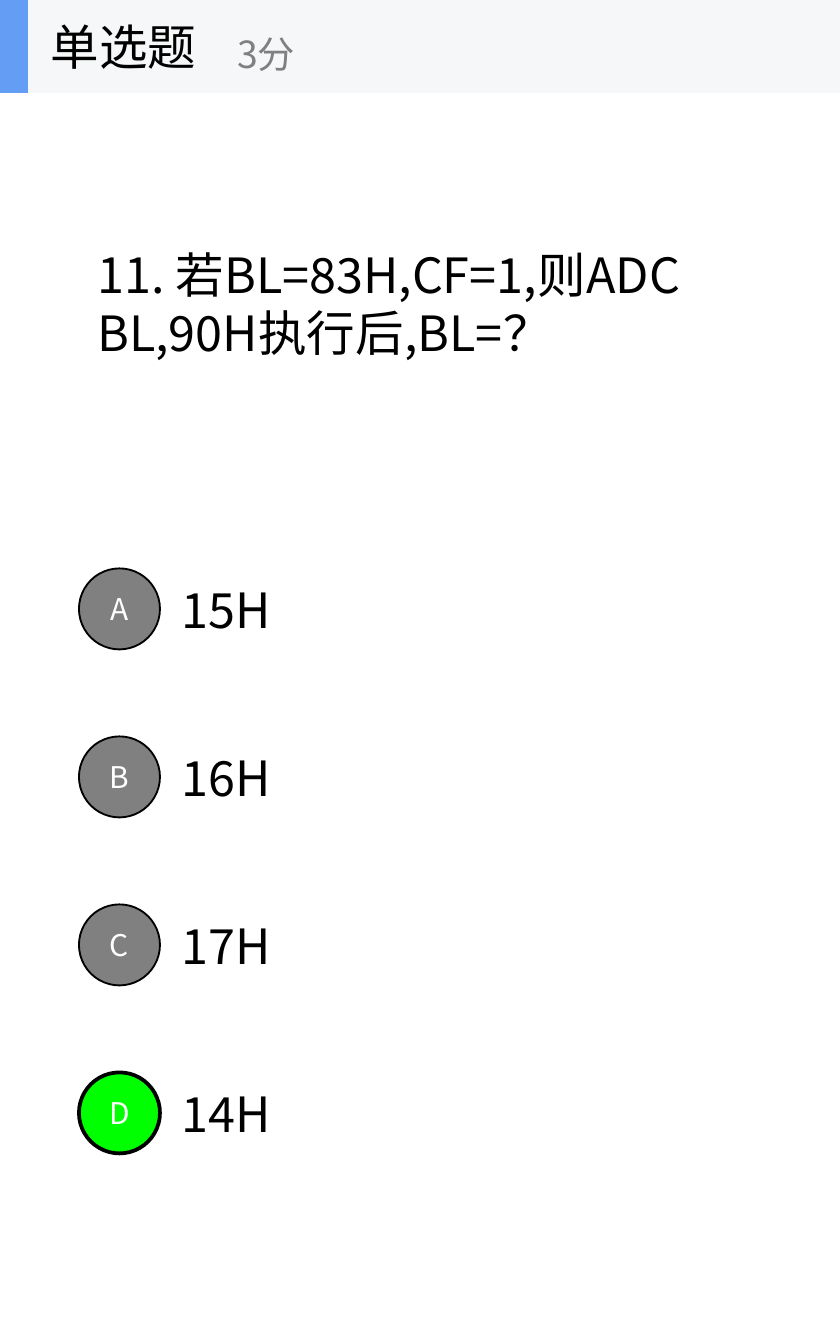
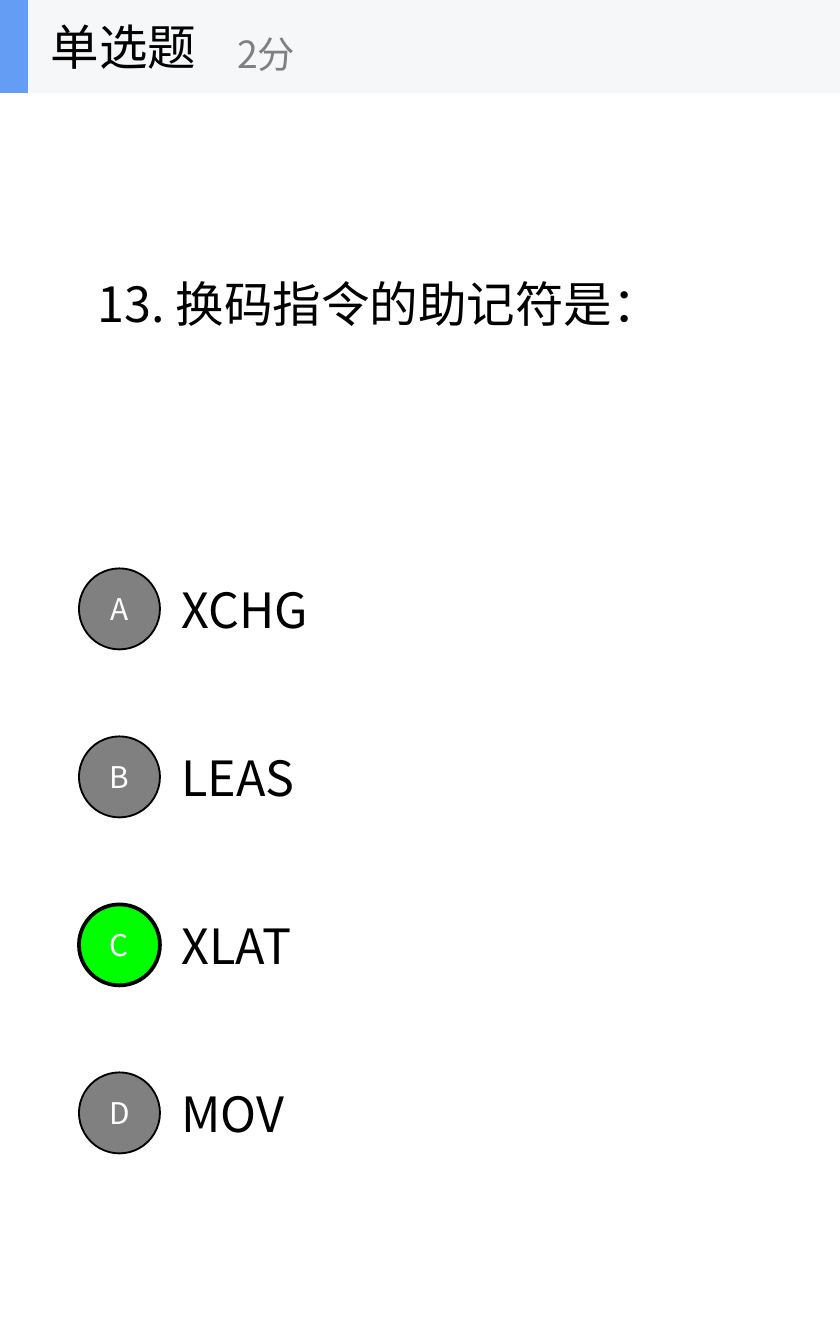
from pptx import Presentation
from pptx.dml.color import RGBColor
from pptx.enum.shapes import MSO_SHAPE
from pptx.enum.text import MSO_ANCHOR, MSO_AUTO_SIZE, PP_ALIGN
from pptx.oxml.ns import qn
from pptx.util import Pt

# Content: option texts carry the width of their box
QUESTIONS = [
    {"points": "3分", "text": "11. 若BL=83H,CF=1,则ADC BL,90H执行后,BL=？",
     "size": (352, 70), "answer": "D",
     "options": [("15H", 65), ("16H", 65), ("17H", 65), ("14H", 65)]},
    {"points": "2分", "text": "13. 换码指令的助记符是：",
     "size": (310.5, 39), "answer": "C",
     "options": [("XCHG", 88), ("LEAS", 75.5), ("XLAT", 76.5), ("MOV", 78.5)]},
]
HEADING = "单选题"

# Shared style
FONT = "Noto Sans CJK SC"
BLACK = RGBColor(0x00, 0x00, 0x00)
WHITE = RGBColor(0xFF, 0xFF, 0xFF)
GRAY = RGBColor(0x80, 0x80, 0x80)
GREEN = RGBColor(0x00, 0xFF, 0x00)
BAND = RGBColor(0xF6, 0xF7, 0xF8)
ACCENT = RGBColor(0x63, 0x9E, 0xF4)

# Layout in points
SLIDE_WIDTH, SLIDE_HEIGHT = 450, 720
BAND_HEIGHT = 49.8
QUESTION_LEFT, QUESTION_MIDDLE = 45, 162.4
CIRCLE_LEFT, CIRCLE_SIZE = 42.3, 43.4
OPTION_LEFT, OPTION_HEIGHT = 90, 38.4
FIRST_MIDDLE, OPTION_PITCH = 326.2, 90


def write(shape, text, size, color):
    frame = shape.text_frame
    frame.text = text
    frame.vertical_anchor = MSO_ANCHOR.MIDDLE
    font = frame.paragraphs[0].runs[0].font
    font.size, font.name = Pt(size), FONT
    font.color.rgb = color
    east_asian = font._element.makeelement(qn("a:ea"), {"typeface": FONT})
    font._element.find(qn("a:latin")).addnext(east_asian)


def add_text(shapes, box, text, size=26, color=BLACK, grow=True):
    shape = shapes.add_textbox(*map(Pt, box))
    shape.text_frame.word_wrap = grow
    if grow:
        shape.text_frame.auto_size = MSO_AUTO_SIZE.SHAPE_TO_FIT_TEXT
    write(shape, text, size, color)


def add_filled(shapes, kind, box, fill):
    shape = shapes.add_shape(kind, *map(Pt, box))
    shape.shadow.inherit = False
    shape.fill.solid()
    shape.fill.fore_color.rgb = fill
    shape.line.fill.background()
    return shape


def add_option(shapes, letter, text, width, middle, correct):
    add_text(shapes, (OPTION_LEFT, middle - OPTION_HEIGHT / 2, width, OPTION_HEIGHT), text)
    circle = add_filled(shapes, MSO_SHAPE.OVAL,
                        (CIRCLE_LEFT, middle - CIRCLE_SIZE / 2, CIRCLE_SIZE, CIRCLE_SIZE),
                        GREEN if correct else GRAY)
    circle.line.color.rgb = BLACK
    circle.line.width = Pt(2 if correct else 1)
    write(circle, letter, 16, WHITE)
    circle.text_frame.paragraphs[0].alignment = PP_ALIGN.CENTER


def add_header(slide, points):
    shapes = slide.shapes.add_group_shape().shapes
    for width, fill in ((SLIDE_WIDTH, BAND), (15, ACCENT)):
        add_filled(shapes, MSO_SHAPE.RECTANGLE, (0, 0, width, BAND_HEIGHT), fill)
    add_text(shapes, (20, 0, 150, BAND_HEIGHT), HEADING, grow=False)
    add_text(shapes, (120, 8.8, 180, 40), points, 20, GRAY, grow=False)


def main():
    presentation = Presentation()
    presentation.slide_width, presentation.slide_height = Pt(SLIDE_WIDTH), Pt(SLIDE_HEIGHT)
    for question in QUESTIONS:
        slide = presentation.slides.add_slide(presentation.slide_layouts[6])
        # Question, centred on a fixed height
        width, height = question["size"]
        add_text(slide.shapes, (QUESTION_LEFT, QUESTION_MIDDLE - height / 2, width, height),
                 question["text"])
        # Answer options
        for index, (letter, (text, width)) in enumerate(zip("ABCD", question["options"])):
            add_option(slide.shapes, letter, text, width,
                       FIRST_MIDDLE + index * OPTION_PITCH, letter == question["answer"])
        # Header band
        add_header(slide, question["points"])
    presentation.save("out.pptx")


if __name__ == "__main__":
    main()
